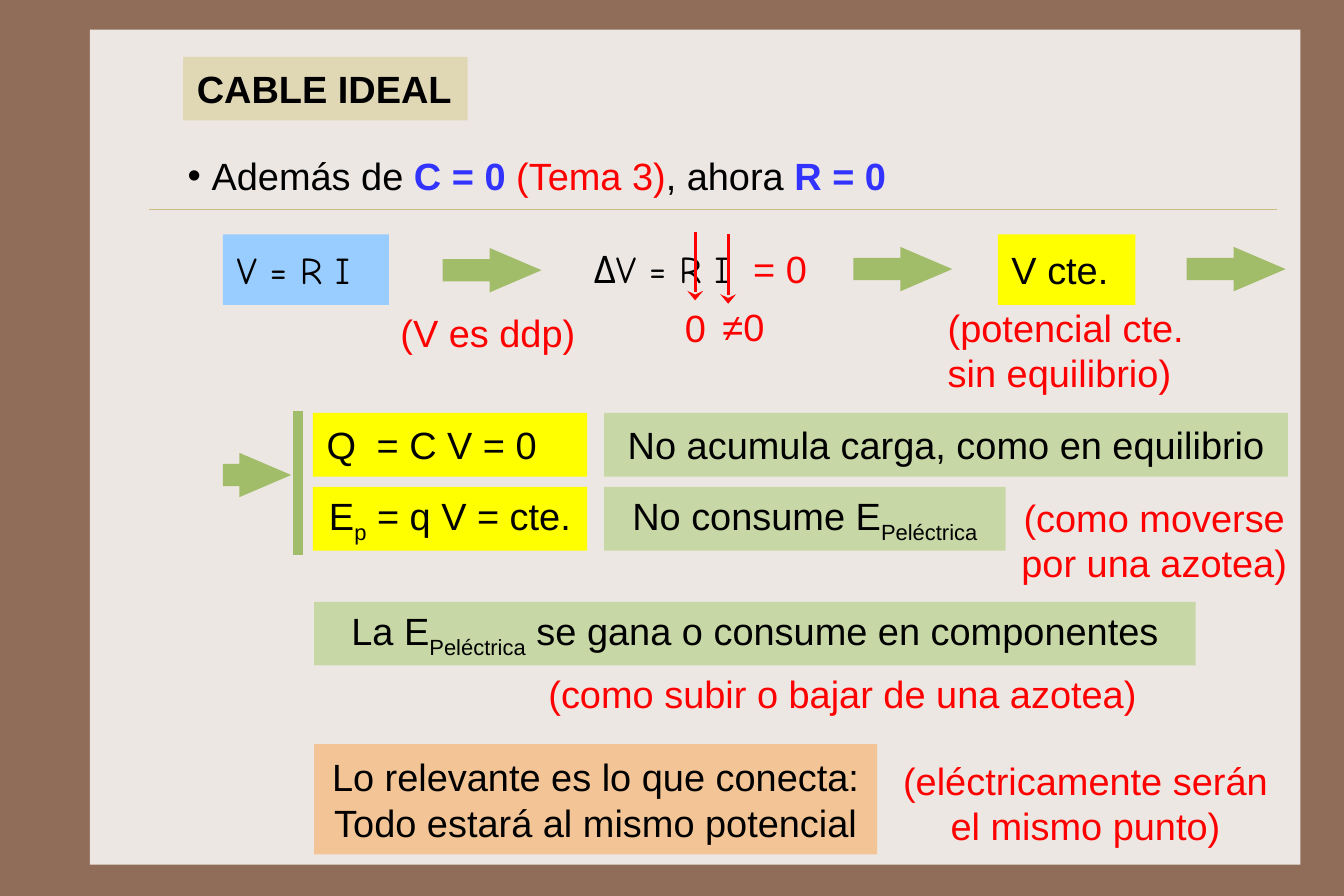
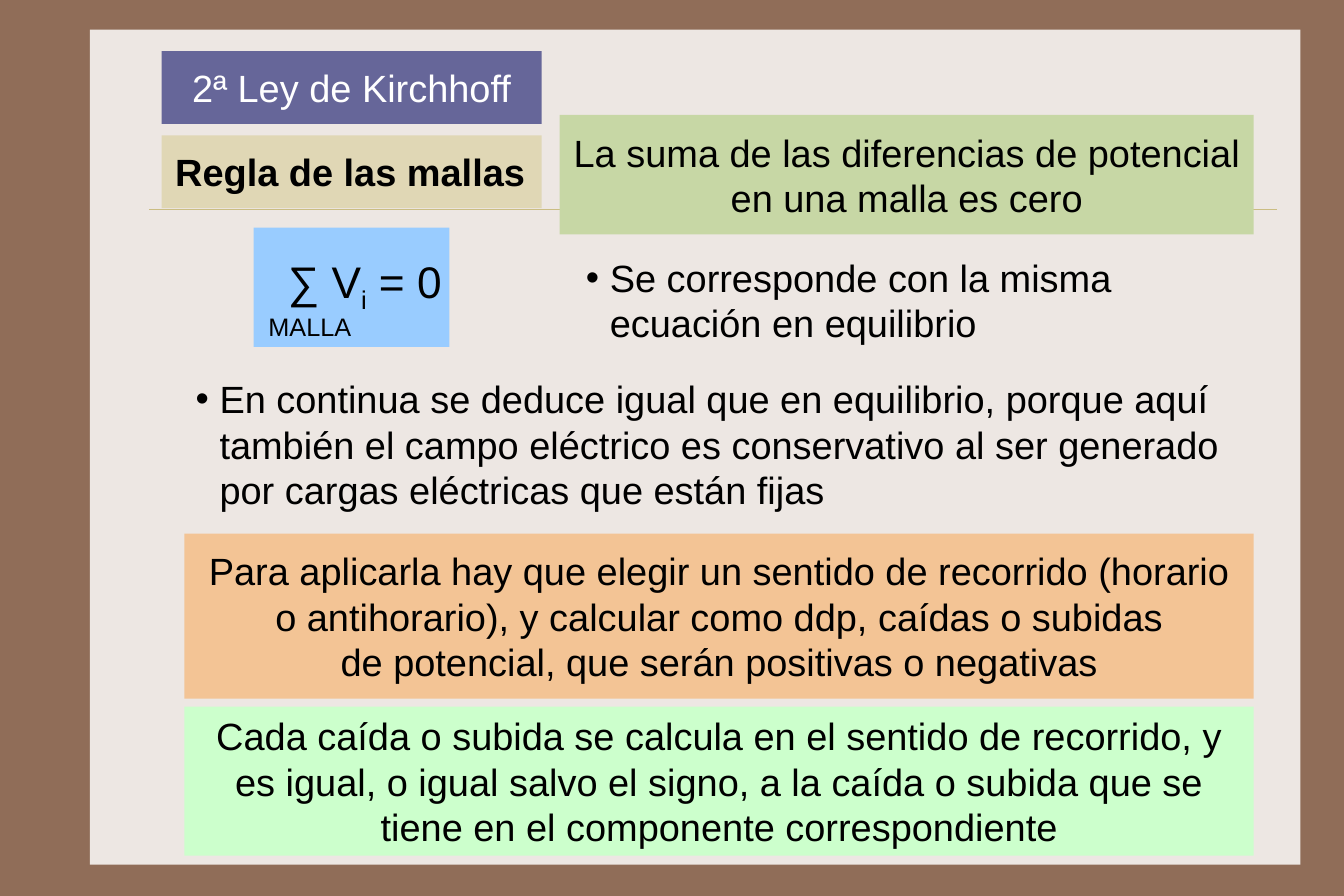
from lxml import etree
from pptx import Presentation
from pptx.dml.color import RGBColor
from pptx.enum.shapes import MSO_CONNECTOR, MSO_SHAPE
from pptx.enum.text import MSO_ANCHOR, PP_ALIGN
from pptx.oxml.ns import qn
from pptx.util import Pt

PX = 9144
WIDTH, HEIGHT = Pt(850.5), Pt(567)
PAD_X, PAD_Y = 12, 8
BULLET_INDENT = 21
ARIAL, COMIC = "Arial", "Comic Neue"

RECT, ARROW = MSO_SHAPE.RECTANGLE, MSO_SHAPE.RIGHT_ARROW
STRAIGHT = MSO_CONNECTOR.STRAIGHT
MIDDLE = MSO_ANCHOR.MIDDLE
LEFT, CENTER = PP_ALIGN.LEFT, PP_ALIGN.CENTER

BROWN = RGBColor(0x90, 0x6D, 0x58)
PAPER = RGBColor(0xED, 0xE7, 0xE3)
RULE = RGBColor(0xCB, 0xBD, 0x83)
SAND = RGBColor(0xE0, 0xD7, 0xB5)
PALE_GREEN = RGBColor(0xC7, 0xD7, 0xA5)
GREEN = RGBColor(0xA1, 0xBD, 0x69)
MINT = RGBColor(0xCC, 0xFF, 0xCC)
PEACH = RGBColor(0xF3, 0xC4, 0x95)
YELLOW = RGBColor(0xFF, 0xFF, 0x00)
SKY = RGBColor(0x99, 0xCC, 0xFF)
PURPLE = RGBColor(0x66, 0x66, 0x99)
BLUE = RGBColor(0x33, 0x33, 0xFF)
RED = RGBColor(0xFF, 0x00, 0x00)
BLACK = RGBColor(0x00, 0x00, 0x00)
WHITE = RGBColor(0xFF, 0xFF, 0xFF)


def px(*lengths):
    return [length * PX for length in lengths]


def add_block(slide, area, fill, preset=RECT):
    block = slide.shapes.add_shape(preset, *px(*area))
    block.shadow.inherit = False
    block.fill.solid()
    block.fill.fore_color.rgb = fill
    block.line.fill.background()
    return block


def add_arrow(slide, left, top, width):
    arrow = add_block(slide, (left, top, width, 39), GREEN, ARROW)
    arrow.adjustments[0] = 0.5
    arrow.adjustments[1] = 1.169


def add_line(slide, ends, color, points, pointed=False):
    line = slide.shapes.add_connector(STRAIGHT, *px(*ends))
    line.line.color.rgb = color
    line.line.width = Pt(points)
    if pointed:
        outline = line.element.spPr.find(qn("a:ln"))
        etree.SubElement(outline, qn("a:tailEnd"), type="stealth", w="lg", len="med")
    etree.SubElement(line.element.spPr, qn("a:effectLst"))
    return line


def add_bullet(paragraph):
    properties = paragraph._p.get_or_add_pPr()
    properties.set("marL", str(BULLET_INDENT * PX))
    properties.set("indent", str(-BULLET_INDENT * PX))
    etree.SubElement(properties, qn("a:buFont"), typeface=ARIAL)
    etree.SubElement(properties, qn("a:buChar"), char="•")


def add_tab_stop(paragraph, position):
    stops = etree.SubElement(paragraph._p.get_or_add_pPr(), qn("a:tabLst"))
    etree.SubElement(stops, qn("a:tab"), pos=str(position * PX), algn="l")


def sub(text):
    return text, {"lowered": True}


def strong(text):
    return text, {"color": BLUE, "bold": True}


def add_run(paragraph, piece):
    text, look = (piece, {}) if isinstance(piece, str) else piece
    run = paragraph.add_run()
    run.text = text
    if "color" in look:
        run.font.color.rgb = look["color"]
    if "bold" in look:
        run.font.bold = look["bold"]
    if "lowered" in look:
        run._r.get_or_add_rPr().set("baseline", "-25000")


def add_text(slide, area, *lines, fill=None, color=BLACK, align=LEFT, size=24,
             font=ARIAL, bold=False, bullet=False, tab=None):
    host = add_block(slide, area, fill) if fill else slide.shapes.add_textbox(*px(*area))
    frame = host.text_frame
    frame.word_wrap = True
    frame.vertical_anchor = MIDDLE
    frame.margin_left, frame.margin_right = px(PAD_X, PAD_X)
    frame.margin_top, frame.margin_bottom = px(PAD_Y, PAD_Y)
    for index, pieces in enumerate(lines):
        paragraph = frame.add_paragraph() if index else frame.paragraphs[0]
        paragraph.alignment = align
        if bullet:
            add_bullet(paragraph)
        if tab:
            add_tab_stop(paragraph, tab)
        paragraph.font.name = font
        paragraph.font.size = Pt(size)
        paragraph.font.bold = bold
        paragraph.font.color.rgb = color
        for piece in [pieces] if isinstance(pieces, str) else pieces:
            add_run(paragraph, piece)


def set_up_master(deck, slide):
    master = deck.slide_master
    master.background.fill.solid()
    master.background.fill.fore_color.rgb = BROWN
    paper = add_block(slide, (79, 26, 1064, 734), PAPER)
    rule = add_line(slide, (131, 184, 1122, 184), RULE, 0.25)
    for number, part in enumerate((paper, rule), start=101):
        part.element.xpath(".//p:cNvPr")[0].set("id", str(number))
        master.element.cSld.spTree.append(part.element)


def build_ideal_cable(slide):
    add_text(slide, (161, 50, 250, 56), "CABLE IDEAL", fill=SAND, bold=True)
    add_text(slide, (153, 126, 700, 56),
             ["Además de ", strong("C = 0 "), ("(Tema 3)", {"color": RED}),
              ", ahora ", strong("R = 0")], bullet=True)

    add_text(slide, (196, 206, 146, 62), "V = R I", fill=SKY, font=COMIC)
    add_text(slide, (510, 208, 153, 56), "ΔV = R I", font=COMIC)
    add_text(slide, (650, 208, 72, 56), "= 0", color=RED)
    add_text(slide, (877, 206, 121, 62), "V cte.", fill=YELLOW)
    add_text(slide, (340, 264, 190, 56), "(V es ddp)", color=RED)
    add_text(slide, (821, 259, 240, 97), "(potencial cte.", "sin equilibrio)", color=RED)
    for left, top, width in ((389, 218, 87), (750, 217, 87), (1043, 217, 87), (196, 398, 60)):
        add_arrow(slide, left, top, width)
    for x, top, bottom in ((611, 204, 264), (640, 206, 267)):
        add_line(slide, (x, top, x, bottom), RED, 2, pointed=True)
    add_text(slide, (590, 260, 50, 56), "0", color=RED)
    add_text(slide, (623, 259, 61, 56), "≠0", color=RED)

    add_line(slide, (262, 361, 262, 488), GREEN, 6)
    add_text(slide, (275, 363, 241, 56), "Q\t= C V = 0", fill=YELLOW, tab=44)
    add_text(slide, (275, 428, 241, 56), ["E", sub("p"), " = q V = cte."],
             fill=YELLOW, align=CENTER)
    add_text(slide, (531, 363, 601, 56), "No acumula carga, como en equilibrio",
             fill=PALE_GREEN, align=CENTER)
    add_text(slide, (531, 428, 353, 56), ["No consume E", sub("Peléctrica")],
             fill=PALE_GREEN, align=CENTER)
    add_text(slide, (883, 426, 263, 97), "(como moverse por una azotea)",
             color=RED, align=CENTER)

    add_text(slide, (276, 529, 775, 56),
             ["La E", sub("Peléctrica"), " se gana o consume en componentes"],
             fill=PALE_GREEN, align=CENTER)
    add_text(slide, (463, 581, 555, 56), "(como subir o bajar de una azotea)",
             color=RED, align=CENTER)
    add_text(slide, (276, 654, 495, 97),
             "Lo relevante es lo que conecta: Todo estará al mismo potencial",
             fill=PEACH, align=CENTER)
    add_text(slide, (779, 657, 350, 97), "(eléctricamente serán el mismo punto)",
             color=RED, align=CENTER)


def build_mesh_rule(slide):
    add_text(slide, (142, 45, 334, 64), "2ª Ley de Kirchhoff",
             fill=PURPLE, color=WHITE, align=CENTER)
    add_text(slide, (142, 119, 334, 64), "Regla de las mallas", fill=SAND, bold=True)
    add_text(slide, (492, 101, 610, 105),
             "La suma de las diferencias de potencial en una malla es cero",
             fill=PALE_GREEN, align=CENTER)

    add_block(slide, (223, 200, 172, 105), SKY)
    add_text(slide, (241, 219, 170, 62), ["∑ V", sub("i"), " = 0"], size=28)
    add_text(slide, (224, 264, 110, 45), "MALLA", size=16)

    add_text(slide, (503, 211, 505, 105),
             "Se corresponde con la misma ecuación en equilibrio", bullet=True)
    add_text(slide, (160, 321, 943, 139),
             "En continua se deduce igual que en equilibrio, porque aquí también el campo "
             "eléctrico es conservativo al ser generado por cargas eléctricas que están fijas",
             bullet=True)
    add_text(slide, (162, 469, 940, 145),
             "Para aplicarla hay que elegir un sentido de recorrido (horario o antihorario), "
             "y calcular como ddp, caídas o subidas",
             "de potencial, que serán positivas o negativas", fill=PEACH, align=CENTER)
    add_text(slide, (162, 621, 940, 131),
             "Cada caída o subida se calcula en el sentido de recorrido, y es igual, o igual "
             "salvo el signo, a la caída o subida que se tiene en el componente correspondiente",
             fill=MINT, align=CENTER)


def main():
    deck = Presentation()
    deck.slide_width, deck.slide_height = WIDTH, HEIGHT
    blank = deck.slide_layouts[6]
    cable = deck.slides.add_slide(blank)
    set_up_master(deck, cable)
    build_ideal_cable(cable)
    build_mesh_rule(deck.slides.add_slide(blank))
    deck.save("out.pptx")


if __name__ == "__main__":
    main()
